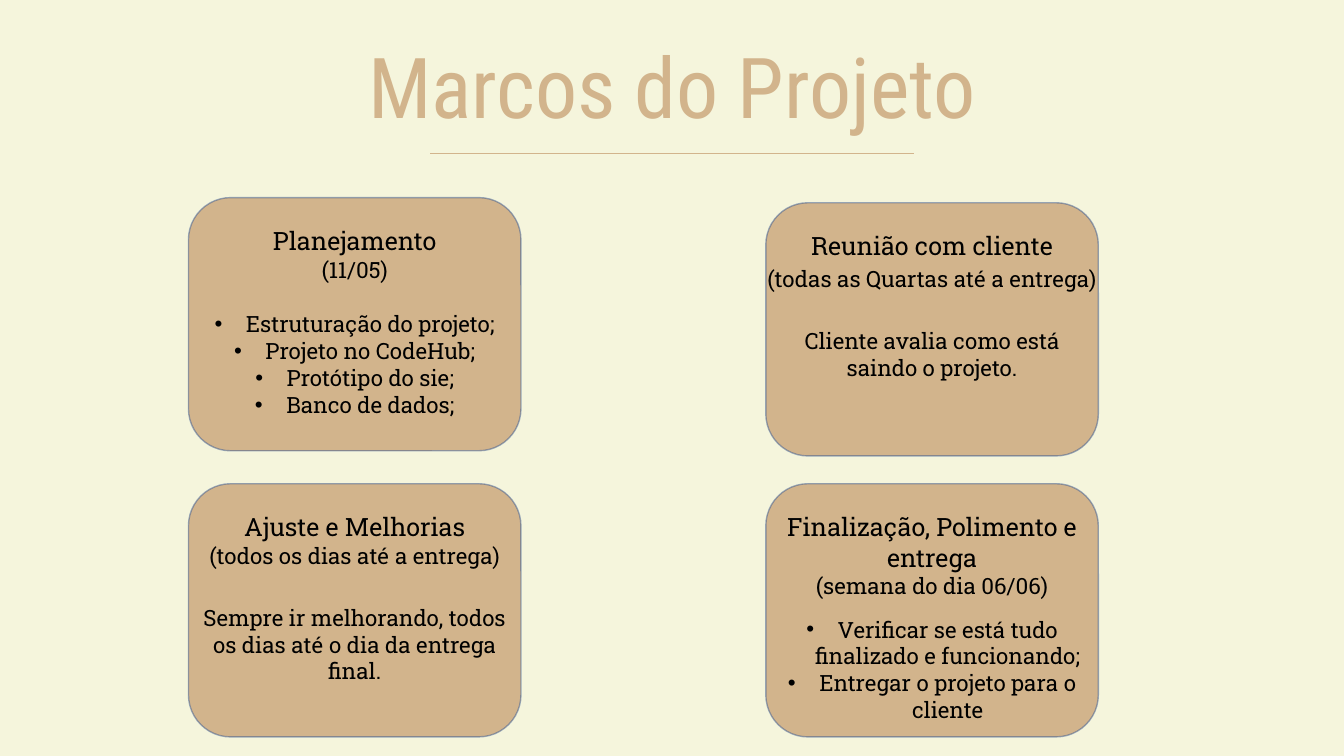
import pptx
import pptx.dml.color
import pptx.enum.shapes
import pptx.enum.text
import pptx.oxml.ns
import pptx.util
from lxml import etree
from pptx.util import Cm, Pt

COLORS = {"cream": "F5F5DC", "tan": "D2B48C", "blue": "325491", "black": "000000"}
TITLE = "Marcos do Projeto"
MILESTONES = [
    {
        "left": 4.75, "top": 4.98, "body_offset": 2.72, "date_gap": 0, "bullets": True,
        "name": "Planejamento", "date": "(11/05)",
        "body": ["Estruturação do projeto;", "Projeto no CodeHub;",
                 "Protótipo do sie;", "Banco de dados;"],
    },
    {
        "left": 19.3, "top": 5.11, "body_offset": 3, "date_gap": 3, "bullets": False,
        "name": "Reunião com cliente", "date": "(todas as Quartas até a entrega)",
        "body": ["Cliente avalia como está saindo o projeto."],
    },
    {
        "left": 4.75, "top": 12.19, "body_offset": 2.9, "date_gap": 0, "bullets": False,
        "name": "Ajuste e Melhorias", "date": "(todos os dias até a entrega)",
        "body": ["Sempre ir melhorando, todos os dias até o dia da entrega final."],
    },
    {
        "left": 19.3, "top": 12.19, "body_offset": 3.2, "date_gap": 0, "bullets": True,
        "name": "Finalização, Polimento e entrega", "date": "(semana do dia 06/06)",
        "body": ["Verificar se está tudo finalizado e funcionando;",
                 "Entregar o projeto para o cliente"],
    },
]
CARD_WIDTH, CARD_HEIGHT = 8.38, 6.38
HEADING_WIDTH, HEADING_OFFSET = 9.04, 0.58
BULLET_INDENT = 0.79


def rgb(name):
    return pptx.dml.color.RGBColor.from_string(COLORS[name])


def add_xml(parent, tag, **attributes):
    return etree.SubElement(parent, pptx.oxml.ns.qn(tag), **attributes)


def write(para, text, size=16, font="Roboto Slab", color="black", before=0,
          spacing=1.0, bullet=False):
    para.alignment = pptx.enum.text.PP_ALIGN.CENTER
    para.line_spacing = spacing
    para.space_before = Pt(before)
    span = para.add_run()
    span.text = text
    span.font.size = Pt(size)
    span.font.name = font
    span.font.color.rgb = rgb(color)
    if bullet:
        properties = para._p.get_or_add_pPr()
        properties.set("marL", str(Cm(BULLET_INDENT)))
        properties.set("indent", str(-Cm(BULLET_INDENT)))
        add_xml(properties, "a:buFont", typeface="Arial")
        add_xml(properties, "a:buChar", char="•")


def add_text(page, left, top, width, height, lines):
    box = page.shapes.add_textbox(Cm(left), Cm(top), Cm(width), Cm(height))
    frame = box.text_frame
    frame.word_wrap = True
    for index, (text, style) in enumerate(lines):
        para = frame.add_paragraph() if index else frame.paragraphs[0]
        write(para, text, **style)


def add_title(page):
    title = page.shapes.title
    title.left, title.top, title.width, title.height = Cm(2.33), Cm(1.02), Cm(29.21), Cm(3.68)
    frame = title.text_frame
    frame.auto_size = pptx.enum.text.MSO_AUTO_SIZE.NONE
    frame.vertical_anchor = pptx.enum.text.MSO_ANCHOR.TOP
    write(frame.paragraphs[0], TITLE, size=60, font="Roboto Condensed", color="tan", spacing=0.9)
    rule = page.shapes.add_connector(
        pptx.enum.shapes.MSO_CONNECTOR.STRAIGHT, Cm(10.84), Cm(3.86), Cm(23.03), Cm(3.86))
    rule.line.color.rgb = rgb("tan")
    rule.line.width = Pt(0.5)
    add_xml(rule._element.spPr, "a:effectLst")


def add_milestone(page, item):
    left, top = item["left"], item["top"]
    card = page.shapes.add_shape(
        pptx.enum.shapes.MSO_SHAPE.ROUNDED_RECTANGLE,
        Cm(left), Cm(top), Cm(CARD_WIDTH), Cm(CARD_HEIGHT))
    card.shadow.inherit = False
    card.fill.solid()
    card.fill.fore_color.rgb = rgb("tan")
    card.line.color.rgb = rgb("blue")
    card.line.width = Pt(1)
    line_color = card.line._ln.find(".//" + pptx.oxml.ns.qn("a:srgbClr"))
    add_xml(line_color, "a:alpha", val="48000")

    heading = [(item["name"], {"size": 18}), (item["date"], {"before": item["date_gap"]})]
    add_text(page, left + (CARD_WIDTH - HEADING_WIDTH) / 2, top + HEADING_OFFSET,
             HEADING_WIDTH, 1.7, heading)
    body = [(text, {"bullet": item["bullets"]}) for text in item["body"]]
    add_text(page, left, top + item["body_offset"], CARD_WIDTH, 3, body)


def main():
    deck = pptx.Presentation()
    deck.slide_width, deck.slide_height = Cm(33.87), Cm(19.05)
    page = deck.slides.add_slide(deck.slide_layouts[5])
    page.background.fill.solid()
    page.background.fill.fore_color.rgb = rgb("cream")
    add_title(page)
    for item in MILESTONES:
        add_milestone(page, item)
    deck.save("out.pptx")


if __name__ == "__main__":
    main()
